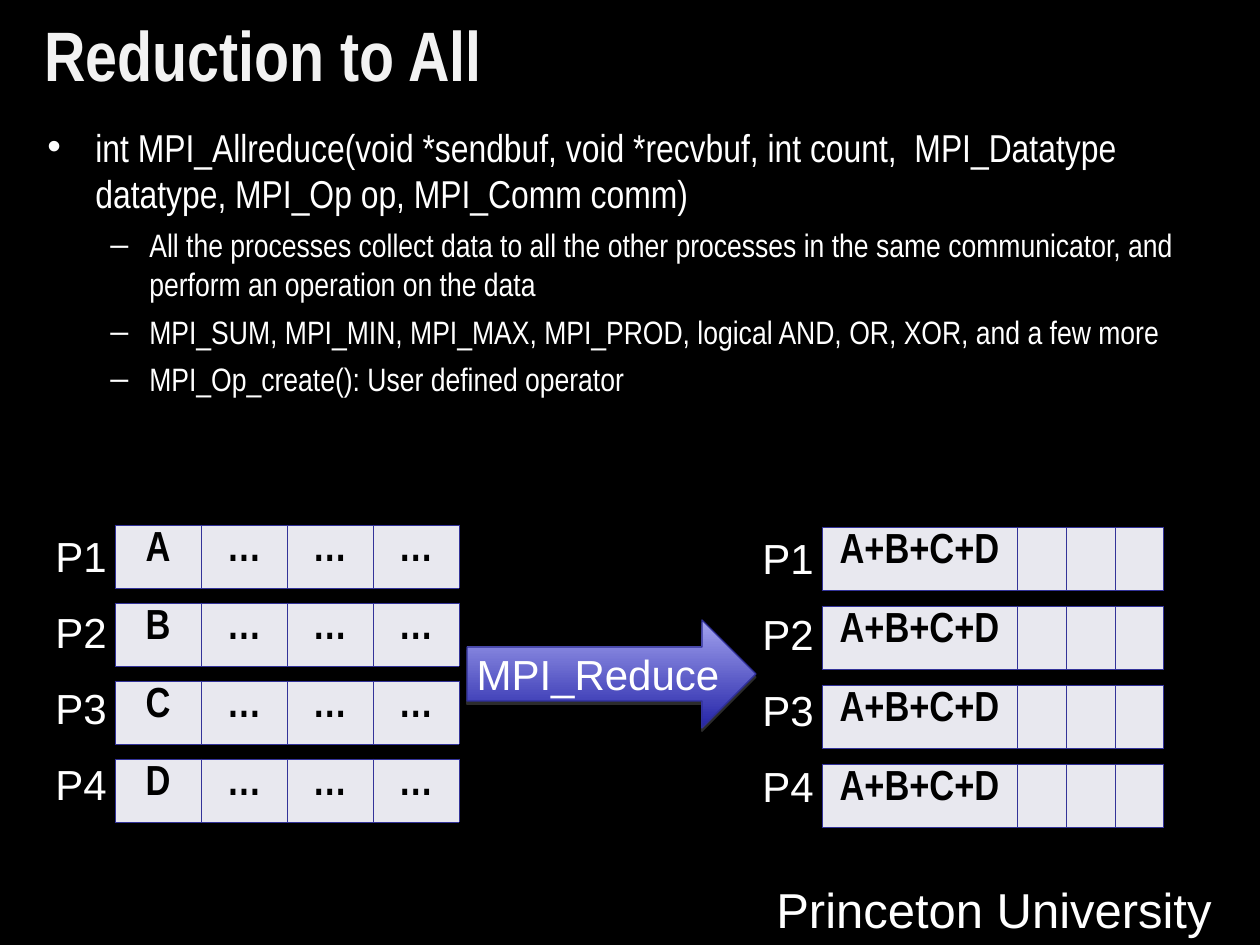
from dataclasses import dataclass

from lxml.etree import SubElement
from pptx import Presentation
from pptx.dml.color import RGBColor as Rgb
from pptx.enum.shapes import MSO_SHAPE as Shape
from pptx.enum.text import MSO_ANCHOR as Anchor, MSO_AUTO_SIZE as AutoSize, PP_ALIGN as Align
from pptx.oxml.ns import qn
from pptx.util import Pt

SCALE = 914400 / 126
BLANK_LAYOUT = 6


@dataclass(frozen=True)
class Theme:
    background: str = "000000"
    title: str = "F2F2F2"
    light: str = "FFFFFF"
    dark: str = "000000"
    cell: str = "E8E8EF"
    border: str = "333399"
    arrow_top: str = "A3A3EF"
    arrow_bottom: str = "2424A8"
    arrow_edge: str = "2F2F98"
    shadow: str = "808080"
    sans: str = "Arial"
    narrow: str = "Arial Narrow"
    title_size: float = 40
    footer_size: float = 28
    diagram_size: float = 24
    body_size: float = 22.2
    detail_size: float = 18.5


THEME = Theme()


def px(length):
    return round(length * SCALE)


def apply_format(target, values):
    for attribute, value in values.items():
        setattr(target, attribute, value)


def write(paragraph, words, size, face, color, bold=False):
    run = paragraph.add_run()
    run.text = words
    apply_format(run.font, {"size": Pt(size), "name": face, "bold": bold})
    run.font.color.rgb = Rgb.from_string(color)


def add_frame(slide, left, top, width, height, **frame_format):
    frame = slide.shapes.add_textbox(px(left), px(top), px(width), px(height)).text_frame
    apply_format(frame, {"word_wrap": True, **frame_format})
    return frame


def add_label(slide, words, box, size):
    frame = add_frame(slide, *box, word_wrap=False, auto_size=AutoSize.SHAPE_TO_FIT_TEXT)
    write(frame.paragraphs[0], words, size, THEME.sans, THEME.light)


def add_bullet(paragraph, symbol, margin, hanging):
    properties = paragraph._p.get_or_add_pPr()
    properties.set("marL", str(px(margin)))
    properties.set("indent", str(-px(hanging)))
    color = SubElement(properties, qn("a:buClr"))
    SubElement(color, qn("a:srgbClr"), val=THEME.light)
    SubElement(properties, qn("a:buFont"), typeface=THEME.sans)
    SubElement(properties, qn("a:buChar"), char=symbol)


def add_description(slide, signature, details):
    frame = add_frame(slide, 35, 117, 1183, 318)
    heading = frame.paragraphs[0]
    add_bullet(heading, "•", 48, 48)
    write(heading, signature, THEME.body_size, THEME.narrow, THEME.light)
    for detail in details:
        paragraph = frame.add_paragraph()
        apply_format(paragraph, {"level": 1, "space_before": Pt(5)})
        add_bullet(paragraph, "–", 102, 39)
        write(paragraph, detail, THEME.detail_size, THEME.narrow, THEME.light)


def style_cell(cell):
    properties = cell._tc.get_or_add_tcPr()
    for side in ("a:lnL", "a:lnR", "a:lnT", "a:lnB"):
        edge = SubElement(properties, qn(side), w=str(Pt(0.45)))
        SubElement(SubElement(edge, qn("a:solidFill")), qn("a:srgbClr"), val=THEME.border)
    cell.fill.solid()
    cell.fill.fore_color.rgb = Rgb.from_string(THEME.cell)


def add_buffer(slide, left, top, widths, values):
    table = slide.shapes.add_table(
        1, len(widths), px(left), px(top), px(sum(widths)), px(63)).table
    apply_format(table, {"first_row": False, "horz_banding": False})
    for column, width, cell, value in zip(table.columns, widths, table.rows[0].cells, values):
        column.width = px(width)
        style_cell(cell)
        if value:
            paragraph = cell.text_frame.paragraphs[0]
            paragraph.alignment = Align.CENTER
            write(paragraph, value, THEME.diagram_size, THEME.narrow, THEME.dark, bold=True)


def add_processes(slide, left, top, pitch, widths, buffers):
    for index, values in enumerate(buffers):
        add_label(slide, f"P{index + 1}", (left - 72, top - 1 + 76 * index, 77, 63),
                  THEME.diagram_size)
        add_buffer(slide, left, top + pitch * index, widths, values)


def add_reduce_arrow(slide, words):
    arrow = slide.shapes.add_shape(Shape.RIGHT_ARROW, px(467), px(620), px(289), px(108))
    arrow.fill.gradient()
    arrow.fill.gradient_angle = 270
    stops = zip(arrow.fill.gradient_stops, (THEME.arrow_top, THEME.arrow_bottom))
    for position, (stop, color) in enumerate(stops):
        stop.position = position
        stop.color.rgb = Rgb.from_string(color)
    arrow.line.color.rgb = Rgb.from_string(THEME.arrow_edge)
    arrow.line.width = Pt(0.75)
    arrow.shadow.inherit = False
    effects = arrow._element.spPr.find(qn("a:effectLst"))
    shadow = SubElement(effects, qn("a:outerShdw"), blurRad="0", dist=str(Pt(1.8)),
                        dir="5400000", rotWithShape="0")
    tint = SubElement(shadow, qn("a:srgbClr"), val=THEME.shadow)
    SubElement(tint, qn("a:alpha"), val="35000")
    frame = arrow.text_frame
    apply_format(frame, {"word_wrap": False, "vertical_anchor": Anchor.MIDDLE,
                         "margin_left": 0, "margin_right": 0,
                         "margin_top": 0, "margin_bottom": 0})
    frame.paragraphs[0].alignment = Align.CENTER
    write(frame.paragraphs[0], words, THEME.diagram_size, THEME.sans, THEME.light)


def main():
    deck = Presentation()
    apply_format(deck, {"slide_width": px(1260), "slide_height": px(945)})
    slide = deck.slides.add_slide(deck.slide_layouts[BLANK_LAYOUT])
    slide.background.fill.solid()
    slide.background.fill.fore_color.rgb = Rgb.from_string(THEME.background)

    add_label(slide, "Princeton University", (764, 873, 460, 72), THEME.footer_size)
    title = add_frame(slide, 32, 0, 1197, 106, vertical_anchor=Anchor.MIDDLE)
    write(title.paragraphs[0], "Reduction to All", THEME.title_size, THEME.narrow,
          THEME.title, bold=True)
    add_description(
        slide,
        "int MPI_Allreduce(void *sendbuf, void *recvbuf, int count,  MPI_Datatype datatype, "
        "MPI_Op op, MPI_Comm comm)",
        ("All the processes collect data to all the other processes in the same communicator, "
         "and perform an operation on the data",
         "MPI_SUM, MPI_MIN, MPI_MAX, MPI_PROD, logical AND, OR, XOR, and a few more",
         "MPI_Op_create(): User defined operator"))

    operands = "ABCD"
    sent = [(operand, "…", "…", "…") for operand in operands]
    received = [("+".join(operands), "", "", "")] * len(operands)
    add_processes(slide, 115, 525, 78, (86, 86, 86, 86), sent)
    add_reduce_arrow(slide, "MPI_Reduce")
    add_processes(slide, 822, 527, 79, (195, 49, 49, 49), received)
    deck.save("out.pptx")


if __name__ == "__main__":
    main()
